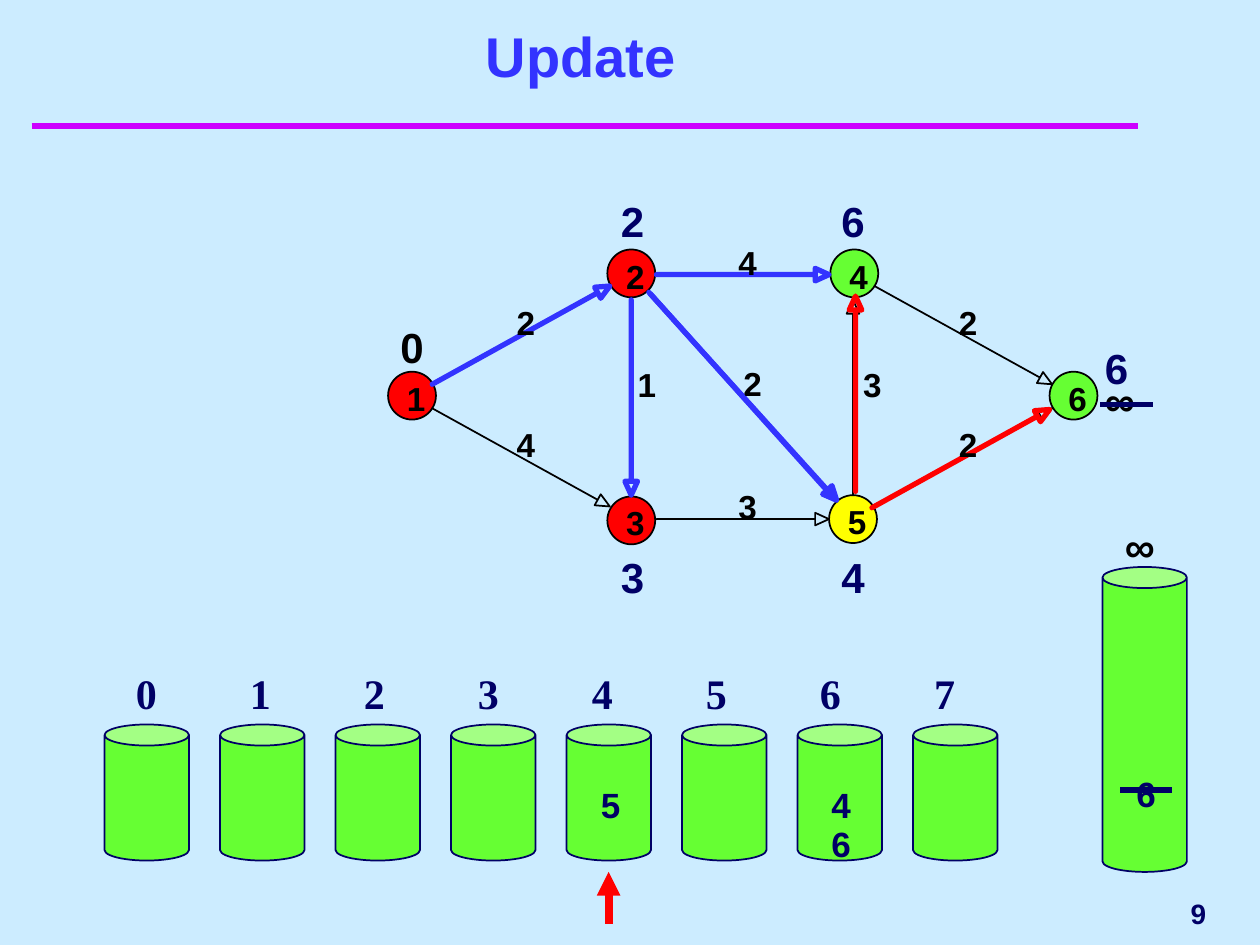
from math import hypot

from lxml import etree
from pptx import Presentation
from pptx.dml.color import RGBColor
from pptx.enum import shapes, text
from pptx.oxml import ns
from pptx.util import Inches, Pt

COLORS = {
    "sky": "CCECFF", "magenta": "CC00FF", "blue": "3333FF", "navy": "000066",
    "black": "000000", "red": "FF0000", "green": "66FF33", "yellow": "FFFF00",
}
rgb = {name: RGBColor.from_string(value) for name, value in COLORS.items()}

deck = Presentation()
deck.slide_width, deck.slide_height = Inches(10), Inches(7.5)
slide = deck.slides.add_slide(deck.slide_layouts[6])
slide.background.fill.solid()
slide.background.fill.fore_color.rgb = rgb["sky"]


def write(words, left, top, width=0.5, height=0.5, size=24, color="navy", font="Arial",
          align="LEFT", anchor="TOP", inset=True):
    label = slide.shapes.add_textbox(Inches(left), Inches(top), Inches(width), Inches(height))
    frame = label.text_frame
    frame.word_wrap = True
    frame.vertical_anchor = text.MSO_ANCHOR[anchor]
    frame.margin_left = frame.margin_right = Inches(0.1 if inset else 0)
    frame.margin_top = frame.margin_bottom = Inches(0.05 if inset else 0)
    paragraph = frame.paragraphs[0]
    paragraph.alignment = text.PP_ALIGN[align]
    run = paragraph.add_run()
    run.text = words
    run.font.name, run.font.size, run.font.bold = font, Pt(size), True
    run.font.color.rgb = rgb[color]


def draw(kind, left, top, width, height, fill, line):
    body = slide.shapes.add_shape(kind, Inches(left), Inches(top), Inches(width), Inches(height))
    body.shadow.inherit = False
    body.fill.solid()
    body.fill.fore_color.rgb = rgb[fill]
    body.line.color.rgb = rgb[line]
    body.line.width = Pt(1)


write("Update", 0.36, 0.33, 8.5, 0.42, size=32, color="blue", align="CENTER", anchor="BOTTOM")

nodes = [
    ("1", 3.08, 2.95, "red"), ("2", 4.82, 1.98, "red"), ("3", 4.82, 3.94, "red"),
    ("4", 6.59, 1.98, "green"), ("5", 6.58, 3.93, "yellow"), ("6", 8.33, 2.95, "green"),
]
for number, left, top, fill in nodes:
    draw(shapes.MSO_SHAPE.OVAL, left, top, 0.38, 0.38, fill, "black")
    write(number, left + 0.15, top + 0.05, 0.15, 0.32, size=19, color="black", inset=False)

HEAD_LENGTH, HEAD_HALF_WIDTH = 0.11, 0.05
edges = [
    (3.43, 3.05, 4.84, 2.27, "blue", 3), (5.21, 2.18, 6.58, 2.18, "blue", 3),
    (5.15, 2.32, 6.64, 3.97, "blue", 3), (5.01, 2.38, 5.01, 3.93, "blue", 3),
    (5.21, 4.12, 6.58, 4.12, "black", 1), (3.43, 3.24, 4.84, 4.02, "black", 1),
    (6.94, 2.27, 8.35, 3.05, "black", 1), (6.77, 3.93, 6.77, 2.38, "black", 1),
    (6.94, 4.02, 8.35, 3.24, "black", 1), (6.79, 3.9, 6.79, 2.35, "red", 3),
    (6.92, 4.03, 8.33, 3.25, "red", 3),
]
for x1, y1, x2, y2, color, weight in edges:
    length = hypot(x2 - x1, y2 - y1)
    ux, uy = (x2 - x1) / length, (y2 - y1) / length
    neck_x, neck_y = x2 - HEAD_LENGTH * ux, y2 - HEAD_LENGTH * uy
    side_x, side_y = -HEAD_HALF_WIDTH * uy, HEAD_HALF_WIDTH * ux
    outline = [
        (neck_x, neck_y), (neck_x + side_x, neck_y + side_y), (x2, y2),
        (neck_x - side_x, neck_y - side_y), (neck_x, neck_y),
    ]
    builder = slide.shapes.build_freeform(Inches(x1), Inches(y1))
    builder.add_line_segments([(Inches(x), Inches(y)) for x, y in outline], close=True)
    edge = builder.convert_to_shape()
    edge.shadow.inherit = False
    edge.fill.background()
    edge.line.color.rgb = rgb[color]
    edge.line.width = Pt(weight)

edge_costs = [
    ("2", 4.1, 2.4), ("4", 5.86, 1.92), ("2", 5.9, 2.88), ("1", 5.06, 2.89), ("3", 5.86, 3.86),
    ("4", 4.1, 3.37), ("2", 7.61, 2.4), ("3", 6.85, 2.89), ("2", 7.61, 3.37),
]
for cost, left, top in edge_costs:
    write(cost, left, top, 0.15, 0.32, size=19, color="black", inset=False)

distances = [
    ("0", 3.08, 2.5, "black"), ("2", 4.83, 1.5, "navy"), ("3", 4.83, 4.33, "navy"),
    ("6", 6.58, 1.5, "navy"), ("4", 6.58, 4.33, "navy"), ("∞", 8.67, 2.92, "black"),
    ("6", 8.67, 2.67, "navy"),
]
for distance, left, top, color in distances:
    write(distance, left, top, color=color)

for bucket in range(8):
    draw(shapes.MSO_SHAPE.CAN, 0.83 + bucket * 11 / 12, 5.75, 0.67, 1.08, "green", "navy")
    write(str(bucket), 0.98 + bucket * 0.905, 5.25, font="Times New Roman")
draw(shapes.MSO_SHAPE.CAN, 8.75, 4.5, 0.67, 2.42, "green", "navy")
write("∞", 8.83, 4.08, 0.42, color="black")

for member, left, top in [("6", 8.92, 6.08), ("4", 6.5, 6.17), ("5", 4.67, 6.17), ("6", 6.5, 6.48)]:
    write(member, left, top, 0.33, 0.44, size=20)

rules = [
    (0.25, 1, 9.03, 1, "magenta", 4, False),
    (9.15, 3.21, 8.73, 3.21, "navy", 3, False),
    (9.3, 6.27, 8.89, 6.27, "navy", 3, False),
    (4.83, 7.33, 4.83, 6.92, "red", 4.5, True),
    (5.16, 2.33, 6.65, 3.99, "blue", 3, True),
]
for x1, y1, x2, y2, color, weight, pointed in rules:
    rule = slide.shapes.add_connector(
        shapes.MSO_CONNECTOR.STRAIGHT, Inches(x1), Inches(y1), Inches(x2), Inches(y2))
    rule.line.color.rgb = rgb[color]
    rule.line.width = Pt(weight)
    if pointed:
        etree.SubElement(rule.line._get_or_add_ln(), ns.qn("a:tailEnd"), type="triangle")
    etree.SubElement(rule._element.spPr, ns.qn("a:effectLst"))

write("9", 7.75, 7, 1.92, size=16, align="RIGHT", anchor="MIDDLE")

deck.save("out.pptx")
